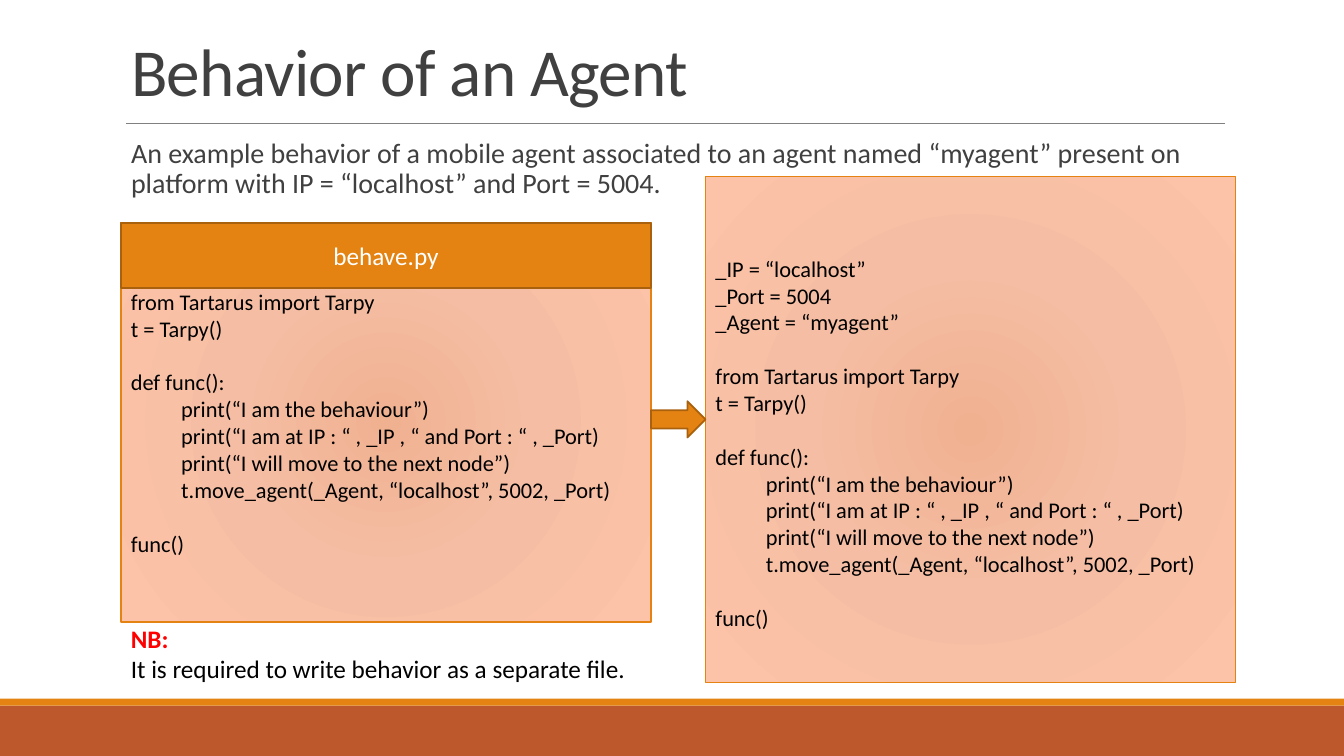
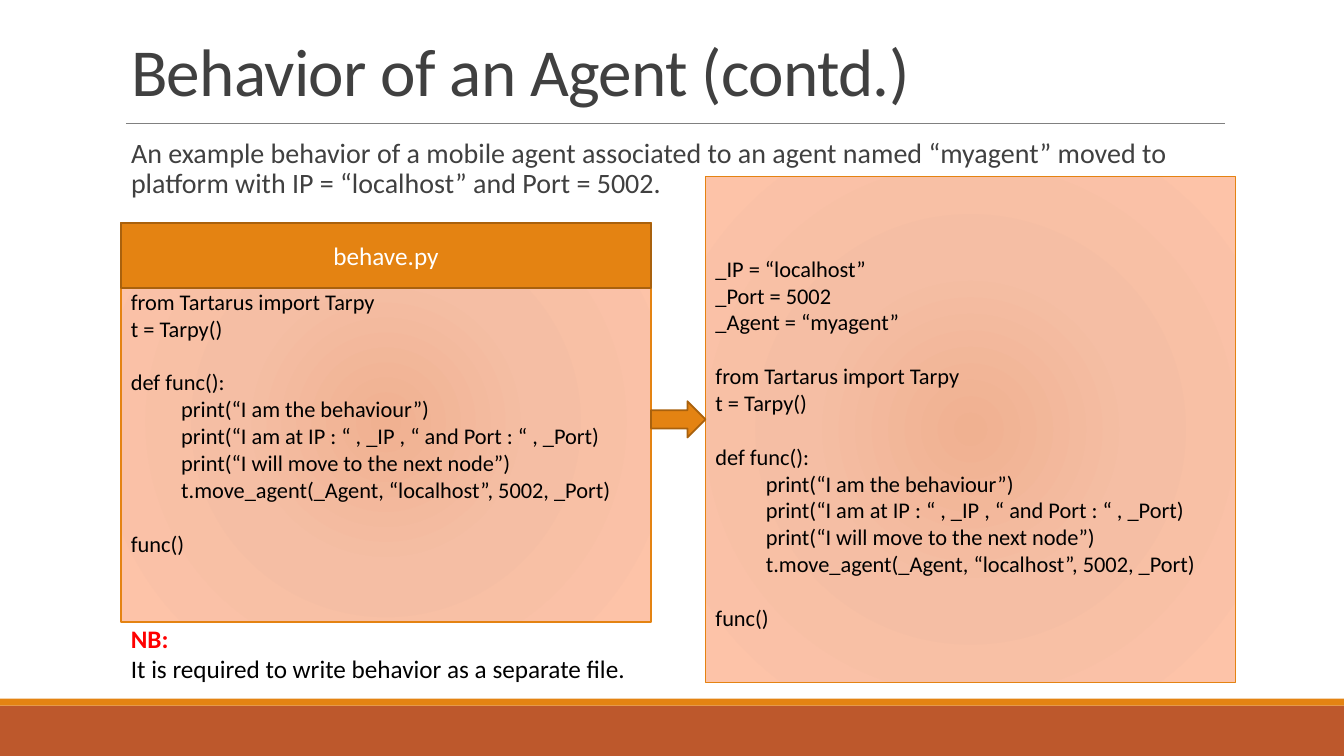
from pptx import Presentation
from pptx.dml.color import RGBColor
from pptx.enum.shapes import MSO_CONNECTOR, MSO_SHAPE
from pptx.enum.text import MSO_ANCHOR, MSO_AUTO_SIZE, PP_ALIGN
from pptx.oxml import parse_xml
from pptx.oxml.ns import nsdecls, qn
from pptx.util import Pt

# Shared style
FONT = "Calibri"
WHITE = RGBColor(0xFF, 0xFF, 0xFF)
BLACK = RGBColor(0x00, 0x00, 0x00)
RED = RGBColor(0xFF, 0x00, 0x00)
TEXT_GREY = RGBColor(0x40, 0x40, 0x40)
RULE_GREY = RGBColor(0x80, 0x80, 0x80)
ORANGE = RGBColor(0xE4, 0x83, 0x12)
DARK_ORANGE = RGBColor(0xA9, 0x61, 0x0D)
RUST = RGBColor(0xBD, 0x58, 0x2C)
PEACH_STOPS = [
    (0, RGBColor(0xF0, 0xB1, 0x91)),
    (45, RGBColor(0xF5, 0xBE, 0xA4)),
    (100, RGBColor(0xFD, 0xC3, 0xA8)),
]

# Geometry in points
SLIDE_WIDTH, SLIDE_HEIGHT = 960, 540
LEFT, CONTENT_WIDTH = 86.4, 792
PANEL_WIDTH = 378.7
FILE_TOP, FILE_HEIGHT, FILE_HEADER = 159.1, 285.1, 46.8
RESULT_LEFT, RESULT_TOP, RESULT_HEIGHT = 504, 126, 361.4
ARROW_TOP, ARROW_HEIGHT = 286.6, 25.9
BAND_TOP, STRIPE_HEIGHT = 504, 5
CODE_LINE, CODE_INDENT = 19.2, 36

# Content: blocks of code lines; a leading tab marks an indented line
BEHAVIOR_CODE = [
    ["from Tartarus import Tarpy", "t = Tarpy()"],
    [
        "def func():",
        "\tprint(“I am the behaviour”)",
        "\tprint(“I am at IP : “ , _IP , “ and Port : “ , _Port)",
        "\tprint(“I will move to the next node”)",
        "\tt.move_agent(_Agent, “localhost”, 5002, _Port)",
    ],
    ["func()"],
]
INTRO = ("An example behavior of a mobile agent associated to an agent named "
         "“myagent” {state} platform with IP = “localhost” and Port = {port}.")
SLIDES = [
    ("Behavior of an Agent", "present on", 5004),
    ("Behavior of an Agent (contd.)", "moved to", 5002),
]


def style_runs(paragraph, size, color, bold=False):
    for run in paragraph.runs:
        run.font.name = FONT
        run.font.size = Pt(size)
        run.font.bold = bold
        run.font.color.rgb = color


def set_indent(paragraph, left):
    properties = paragraph._p.get_or_add_pPr()
    properties.set("marL", str(Pt(left)))
    properties.set("indent", "0")
    return properties


def add_block(shapes, kind, place, fill, line=None, weight=1.25):
    block = shapes.add_shape(kind, *map(Pt, place))
    block.shadow.inherit = False
    block.fill.solid()
    block.fill.fore_color.rgb = fill
    if line is None:
        block.line.fill.background()
    else:
        block.line.color.rgb = line
        block.line.width = Pt(weight)
    return block


def add_rule(shapes, start, end, y):
    rule = shapes.add_connector(MSO_CONNECTOR.STRAIGHT, *map(Pt, (start, y, end, y)))
    rule.line.color.rgb = RULE_GREY
    rule.line.width = Pt(0.5)
    rule.element.spPr.append(parse_xml(f"<a:effectLst {nsdecls('a')}/>"))
    return rule


def fill_radial(block, stops):
    marks = "".join(
        f'<a:gs pos="{position * 1000}"><a:srgbClr val="{color}"/></a:gs>'
        for position, color in stops)
    gradient = parse_xml(
        f'<a:gradFill {nsdecls("a")} rotWithShape="1"><a:gsLst>{marks}</a:gsLst>'
        '<a:path path="circle"><a:fillToRect l="100000" t="100000" '
        'r="100000" b="100000"/></a:path></a:gradFill>')
    properties = block.element.spPr
    properties.replace(properties.find(qn("a:solidFill")), gradient)


def add_code_panel(shapes, place, code, lead=0):
    """Draw code on a peach panel; lead is extra room kept above it."""
    panel = add_block(shapes, MSO_SHAPE.RECTANGLE, place, ORANGE, ORANGE, 1)
    fill_radial(panel, PEACH_STOPS)
    frame = panel.text_frame
    frame.word_wrap = True
    frame.vertical_anchor = MSO_ANCHOR.MIDDLE
    frame.margin_top = Pt(3.6 + lead)
    frame.text = "\n".join(line.strip() for block in code for line in block)
    paragraphs = iter(frame.paragraphs)
    for block_index, block in enumerate(code):
        for line_index, line in enumerate(block):
            paragraph = next(paragraphs)
            paragraph.alignment = PP_ALIGN.LEFT
            style_runs(paragraph, 16, BLACK)
            if block_index and not line_index:
                paragraph.space_before = Pt(CODE_LINE)
            if line.startswith("\t"):
                set_indent(paragraph, CODE_INDENT)


def add_file_card(slide):
    """Group the behavior file's code with its name header."""
    shapes = slide.shapes.add_group_shape().shapes
    add_code_panel(shapes, (LEFT, FILE_TOP, PANEL_WIDTH, FILE_HEIGHT), BEHAVIOR_CODE)
    header = add_block(shapes, MSO_SHAPE.RECTANGLE,
                       (LEFT, FILE_TOP, PANEL_WIDTH, FILE_HEADER), ORANGE, DARK_ORANGE)
    header.text_frame.text = "behave.py"
    header.text_frame.vertical_anchor = MSO_ANCHOR.MIDDLE
    name = header.text_frame.paragraphs[0]
    name.alignment = PP_ALIGN.CENTER
    style_runs(name, 18, WHITE)


def add_note(slide):
    note = slide.shapes.add_textbox(*map(Pt, (LEFT, 441.4, 797, 51)))
    frame = note.text_frame
    frame.word_wrap = True
    frame.text = "NB:\nIt is required to write behavior as a separate file."
    label, remark = frame.paragraphs
    style_runs(label, 18, RED, bold=True)
    style_runs(remark, 18, BLACK)


def fill_title(slide, text):
    slide.shapes.title.text_frame.text = text
    title = slide.shapes.title.text_frame.paragraphs[0]
    title.alignment = PP_ALIGN.LEFT
    title.line_spacing = 0.85
    style_runs(title, 48, TEXT_GREY)
    title.runs[0].font._element.set("spc", "-50")


def fill_intro(slide, text):
    body = slide.placeholders[1].text_frame
    body.text = text
    intro = body.paragraphs[0]
    intro.line_spacing = 0.9
    intro.space_before = Pt(0)
    intro.space_after = Pt(2)
    set_indent(intro, 7.2).append(parse_xml(f"<a:buNone {nsdecls('a')}/>"))
    style_runs(intro, 20, TEXT_GREY)


def prepare_layout(layout):
    """Place the title and body for every slide."""
    places = [(0, 82.1, MSO_ANCHOR.BOTTOM), (95.8, 366.5, MSO_ANCHOR.TOP)]
    for holder, (top, height, anchor) in zip(layout.placeholders, places):
        holder.left, holder.top = Pt(LEFT), Pt(top)
        holder.width, holder.height = Pt(CONTENT_WIDTH), Pt(height)
        holder.text_frame.vertical_anchor = anchor
        holder.text_frame.auto_size = MSO_AUTO_SIZE.NONE
    body = layout.placeholders[1].text_frame
    body.margin_left = body.margin_right = Pt(0)


def move_frame_to_layout(slide):
    """Draw the footer bands and title rule, then share them via the layout."""
    shapes = slide.shapes
    bands = [(BAND_TOP, SLIDE_HEIGHT - BAND_TOP, RUST),
             (BAND_TOP - STRIPE_HEIGHT, STRIPE_HEIGHT, ORANGE)]
    parts = [add_block(shapes, MSO_SHAPE.RECTANGLE, (0, top, SLIDE_WIDTH, height), color)
             for top, height, color in bands]
    parts.append(add_rule(shapes, 90, 874.8, 87.8))
    for part in parts:
        slide.slide_layout.shapes.element.append(part.element)


def add_behavior_slide(deck, layout, title, state, port):
    slide = deck.slides.add_slide(layout)
    fill_title(slide, title)
    fill_intro(slide, INTRO.format(state=state, port=port))
    add_file_card(slide)
    add_note(slide)
    settings = ["_IP = “localhost”", f"_Port = {port}", "_Agent = “myagent”"]
    add_code_panel(slide.shapes, (RESULT_LEFT, RESULT_TOP, PANEL_WIDTH, RESULT_HEIGHT),
                   [settings, *BEHAVIOR_CODE], lead=CODE_LINE)
    file_right = LEFT + PANEL_WIDTH
    add_block(slide.shapes, MSO_SHAPE.RIGHT_ARROW,
              (file_right, ARROW_TOP, RESULT_LEFT - file_right, ARROW_HEIGHT),
              ORANGE, DARK_ORANGE)
    return slide


def main():
    deck = Presentation()
    deck.slide_width, deck.slide_height = Pt(SLIDE_WIDTH), Pt(SLIDE_HEIGHT)
    layout = deck.slide_layouts[1]
    prepare_layout(layout)
    slides = [add_behavior_slide(deck, layout, *content) for content in SLIDES]
    move_frame_to_layout(slides[0])
    deck.save("out.pptx")


if __name__ == "__main__":
    main()
